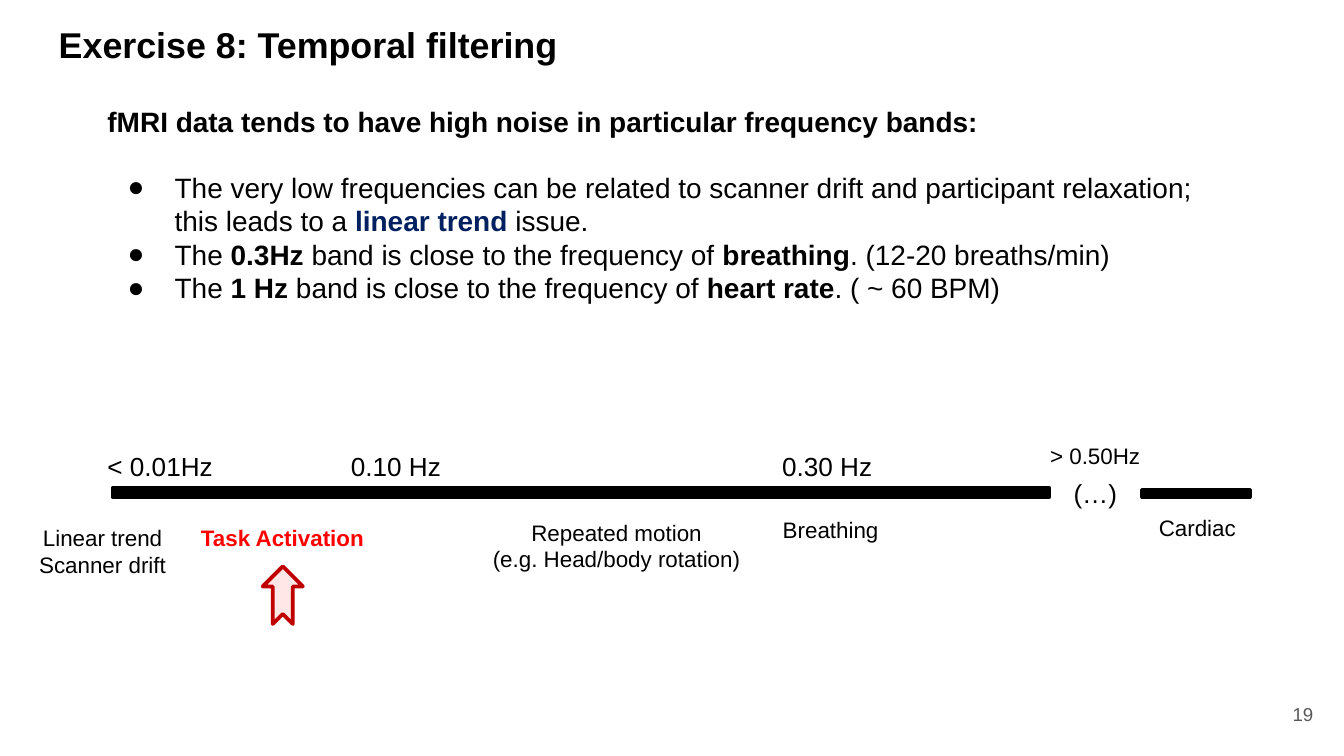
"""Build the temporal filtering slide with its frequency band scale."""
from dataclasses import dataclass

from lxml.etree import SubElement
from pptx import Presentation
from pptx.dml.color import RGBColor
from pptx.enum.shapes import MSO_SHAPE
from pptx.enum.text import MSO_ANCHOR, MSO_AUTO_SIZE, PP_ALIGN
from pptx.oxml.ns import qn
from pptx.util import Cm, Pt


@dataclass(frozen=True)
class Theme:
    """Hold the colours, font and type sizes."""
    font: str = "Arial"
    black: str = "000000"
    navy: str = "002060"
    red: str = "FF0000"
    grey: str = "595959"
    pink: str = "FFE7E7"
    dark: str = "C00000"
    title: float = 19.2
    body: float = 15
    tick: float = 14
    label: float = 12
    page: float = 10
    line: float = 2


T = Theme()

TITLE = "Exercise 8: Temporal filtering"
LEAD = "fMRI data tends to have high noise in particular frequency bands:"
POINTS = [
    [("The very low frequencies can be related to scanner drift and "
      "participant relaxation; this leads to a ", False, T.black),
     ("linear trend", True, T.navy), (" issue.", False, T.black)],
    [("The ", False, T.black), ("0.3Hz", True, T.black),
     (" band is close to the frequency of ", False, T.black),
     ("breathing", True, T.black),
     (". (12-20 breaths/min)", False, T.black)],
    [("The ", False, T.black), ("1 Hz", True, T.black),
     (" band is close to the frequency of ", False, T.black),
     ("heart rate", True, T.black),
     (". ( ~ 60 BPM)", False, T.black)],
]
TICKS = [
    ("< 0.01Hz", 1.78, 8.38, 2.51),
    ("0.10 Hz", 6.38, 8.38, 2.24),
    ("0.30 Hz", 14.53, 8.38, 2.24),
    ("(…)", 20.04, 8.89, 1.35),
]
LABELS = [
    ("> 0.50Hz", 19.58, 8.23, 2.24),
    ("Linear trend\nScanner drift", 0.48, 9.78, 2.92),
    ("Repeated motion\n(e.g. Head/body rotation)", 9.04, 9.68, 5.23),
    ("Breathing", 14.53, 9.63, 2.34),
    ("Cardiac", 21.64, 9.6, 1.98),
]
TASK = ("Task Activation", 3.51, 9.78, 3.66)
BARS = [(2.13, 9.22, 17.7, 0.18), (21.59, 9.27, 2.03, 0.13)]
ARROW = (4.8, 10.87, 1.09, 0.76)
PAGE = ("19", 23.55, 12.95, 1.52, 1.09)


def style(run, size, color=T.black, bold=False):
    """Format one run."""
    font = run.font
    font.name, font.size, font.bold = T.font, Pt(size), bold
    font.color.rgb = RGBColor.from_string(color)


def place(shape, left, top, width, height):
    """Move and size a shape, in centimetres."""
    shape.left, shape.top = Cm(left), Cm(top)
    shape.width, shape.height = Cm(width), Cm(height)


def inset(frame):
    """Give a text frame equal margins and fixed type."""
    frame.margin_left = frame.margin_right = Cm(0.25)
    frame.margin_top = frame.margin_bottom = Cm(0.25)
    frame.word_wrap = True
    frame.auto_size = MSO_AUTO_SIZE.NONE


def bullet(para, mark=None):
    """Set the hanging indent and bullet, or remove both."""
    props = para._p.get_or_add_pPr()
    props.set("marL", str(Cm(1.27) if mark else 0))
    props.set("indent", str(Cm(-0.89) if mark else 0))
    if not mark:
        SubElement(props, qn("a:buNone"))
        return
    color = SubElement(props, qn("a:buClr"))
    SubElement(color, qn("a:srgbClr"), val=T.black)
    SubElement(props, qn("a:buFont"), typeface=T.font)
    SubElement(props, qn("a:buChar"), char=mark)


def write(slide, item, size, align, color=T.black, bold=False):
    """Add a label that fits its text."""
    text, left, top, width = item
    lines = text.count("\n") + 1
    height = 0.25 + lines * size * 0.042
    box = slide.shapes.add_textbox(Cm(left), Cm(top), Cm(width), Cm(height))
    frame = box.text_frame
    frame.text = text
    frame.word_wrap = False
    frame.auto_size = MSO_AUTO_SIZE.SHAPE_TO_FIT_TEXT
    for para in frame.paragraphs:
        para.alignment = align
        style(para.runs[0], size, color, bold)


def draw(slide, kind, spot, fill, edge):
    """Add a filled and outlined shape."""
    shape = slide.shapes.add_shape(kind, *map(Cm, spot))
    shape.shadow.inherit = False
    shape.fill.solid()
    shape.fill.fore_color.rgb = RGBColor.from_string(fill)
    shape.line.color.rgb = RGBColor.from_string(edge)
    shape.line.width = Pt(T.line)
    return shape


def head(shape):
    """Fill the title."""
    place(shape, 0.86, 0.18, 23.67, 1.85)
    frame = shape.text_frame
    inset(frame)
    frame.vertical_anchor = MSO_ANCHOR.TOP
    frame.text = TITLE
    para = frame.paragraphs[0]
    para.alignment = PP_ALIGN.LEFT
    style(para.runs[0], T.title, bold=True)


def body(shape):
    """Fill the lead line and the bullet list."""
    place(shape, 1.78, 1.73, 21.84, 4.65)
    frame = shape.text_frame
    inset(frame)
    frame.vertical_anchor = MSO_ANCHOR.TOP
    frame.text = LEAD
    lead = frame.paragraphs[0]
    bullet(lead)
    lead.space_before, lead.space_after = Pt(0), Pt(17)
    style(lead.runs[0], T.body, bold=True)
    for parts in POINTS:
        para = frame.add_paragraph()
        bullet(para, "●")
        para.space_before = Pt(0)
        for text, bold, color in parts:
            run = para.add_run()
            run.text = text
            style(run, T.body, color, bold)


def number(slide):
    """Add the page number."""
    text, *spot = PAGE
    frame = slide.shapes.add_textbox(*map(Cm, spot)).text_frame
    inset(frame)
    frame.vertical_anchor = MSO_ANCHOR.MIDDLE
    frame.text = text
    para = frame.paragraphs[0]
    para.alignment = PP_ALIGN.RIGHT
    style(para.runs[0], T.page, T.grey)


def main():
    """Build and save the deck."""
    deck = Presentation()
    deck.slide_width, deck.slide_height = Cm(25.4), Cm(14.29)
    slide = deck.slides.add_slide(deck.slide_layouts[1])
    head(slide.shapes.title)
    body(slide.placeholders[1])
    number(slide)
    for spot in BARS:
        draw(slide, MSO_SHAPE.RECTANGLE, spot, T.black, T.black)
    for item in TICKS:
        write(slide, item, T.tick, PP_ALIGN.LEFT)
    for item in LABELS:
        write(slide, item, T.label, PP_ALIGN.CENTER)
    write(slide, TASK, T.label, PP_ALIGN.CENTER, T.red, True)
    arrow = draw(slide, MSO_SHAPE.NOTCHED_RIGHT_ARROW, ARROW, T.pink, T.dark)
    arrow.rotation = 270
    deck.save("out.pptx")


if __name__ == "__main__":
    main()
